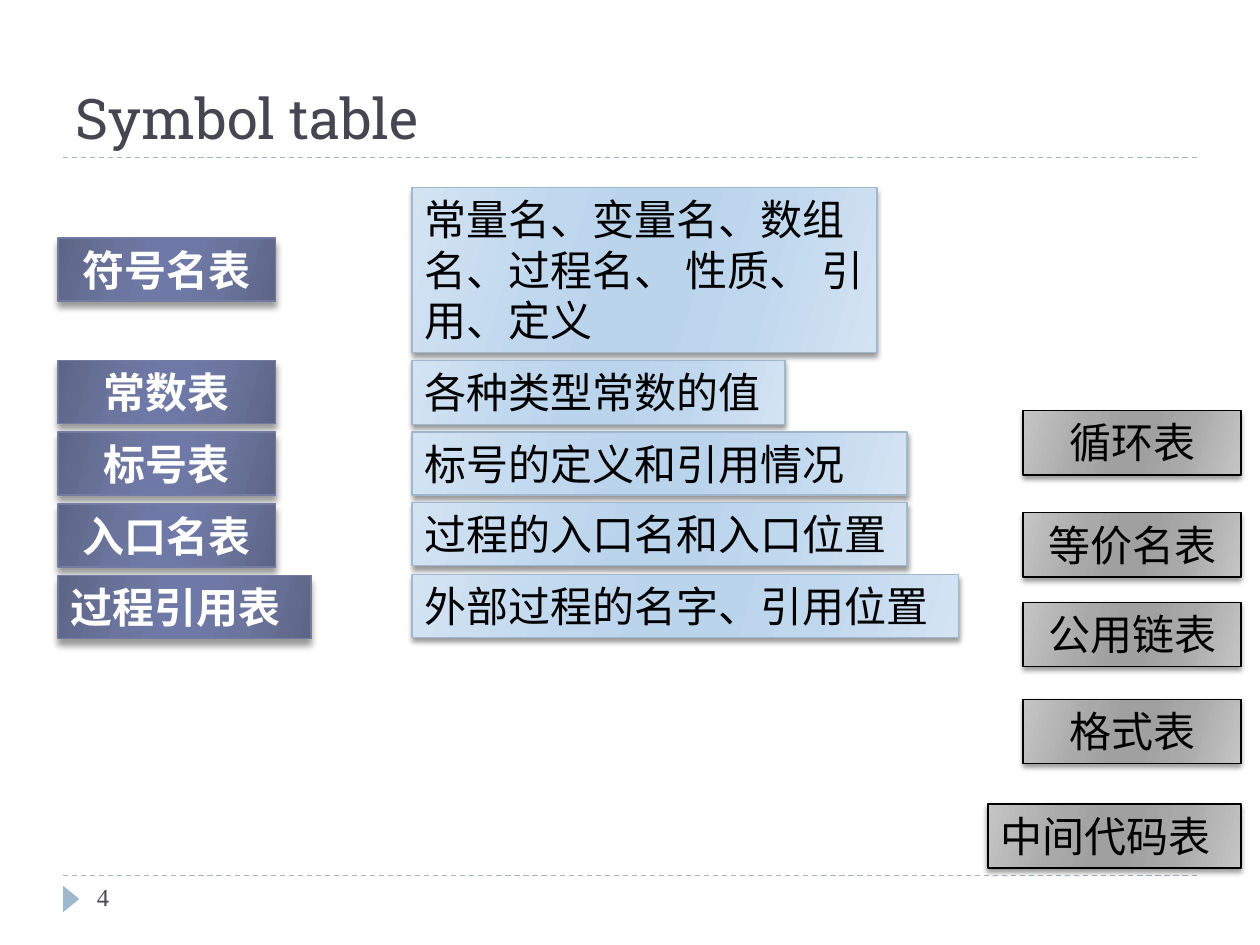
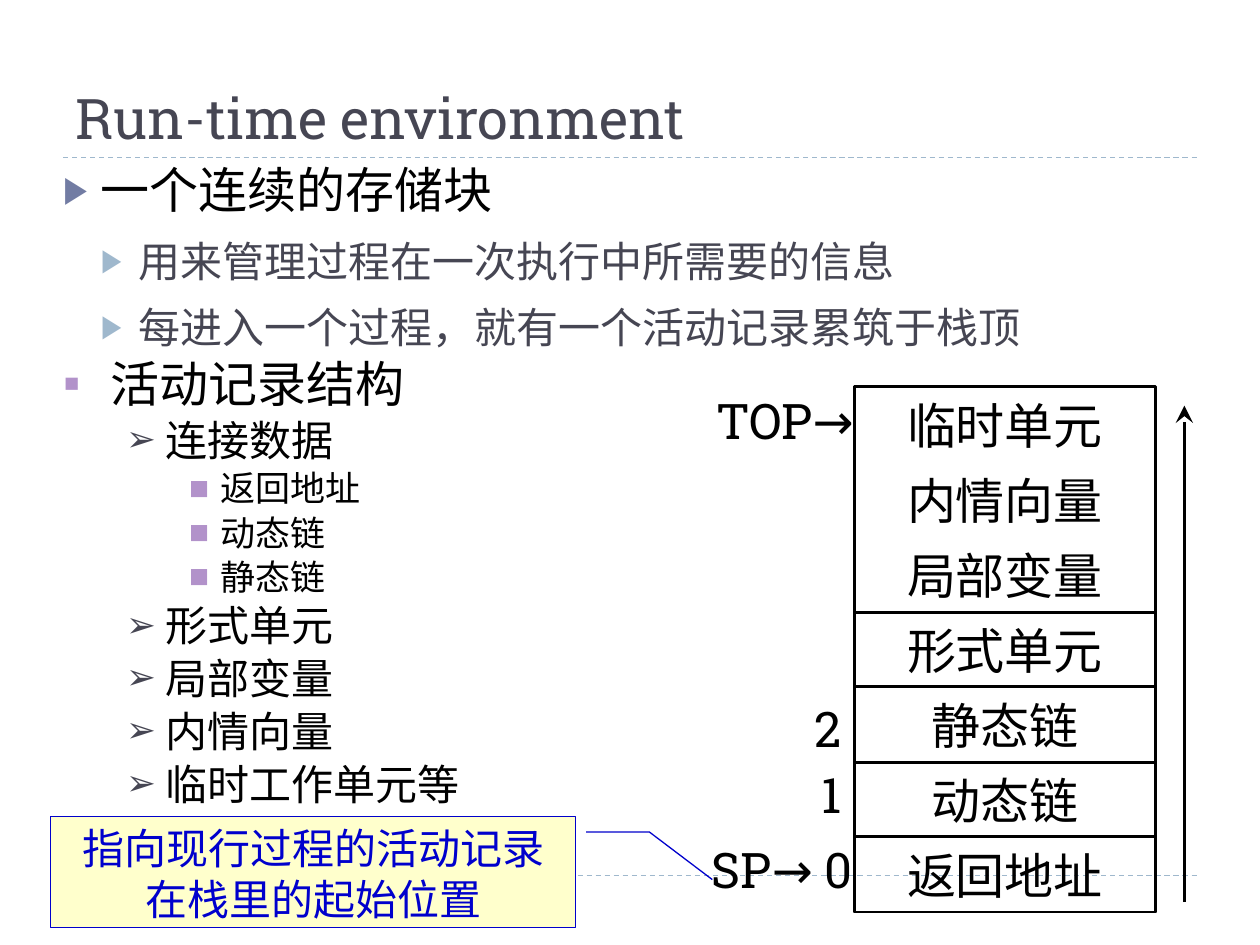
from dataclasses import dataclass

from lxml.etree import SubElement
from pptx import Presentation
from pptx.dml.color import RGBColor
from pptx.enum.dml import MSO_LINE
from pptx.enum.shapes import MSO_CONNECTOR, MSO_SHAPE
from pptx.enum.text import MSO_ANCHOR, MSO_AUTO_SIZE, PP_ALIGN
from pptx.oxml.ns import qn
from pptx.util import Pt

PX = 9144  # one px is a hundredth of an inch


@dataclass(frozen=True)
class Theme:
    heading: str = "464653"
    black: str = "000000"
    white: str = "FFFFFF"
    rule: str = "9FB8CD"
    slate: str = "727CA3"
    violet: str = "B292CA"
    note_fill: str = "FFFFCC"
    note_ink: str = "0000CC"
    slate_shades: tuple = ("5D6585", "6B759E", "6E79A7")
    blue_shades: tuple = ("D3E3F2", "C0D8EE", "BAD4EC")
    grey_shades: tuple = ("C5C5C5", "A9A9A9", "A0A0A0")
    latin: str = "Roboto Slab"
    chinese: str = "Noto Sans CJK SC"
    number: str = "Times New Roman"
    title_size: int = 32
    large: int = 28
    medium: int = 24
    small: int = 20
    number_size: int = 14


theme = Theme()


def write(para, text, size, ink, face=theme.latin, spacing=1.0, bold=False):
    """Add one run and fix the line pitch to 1.2 times the type size."""
    para.line_spacing = Pt(round(1.2 * size * spacing, 1))
    span = para.add_run()
    span.text = text
    span.font.size = Pt(size)
    span.font.bold = bold
    span.font.name = face
    span.font.color.rgb = RGBColor.from_string(ink)
    SubElement(span.font._element, qn("a:ea"), typeface=theme.chinese)


def add_box(page, area, line=None, width=1.5, kind=MSO_SHAPE.RECTANGLE,
            anchor=MSO_ANCHOR.MIDDLE, align=PP_ALIGN.CENTER, wrap=False):
    """Add an unfilled shape, or a text box when no line colour is given."""
    area = [length * PX for length in area]
    if line:
        box = page.shapes.add_shape(kind, *area)
        box.shadow.inherit = False
        box.fill.background()
        box.line.color.rgb = RGBColor.from_string(line)
        box.line.width = Pt(width)
    else:
        box = page.shapes.add_textbox(*area)
    box.text_frame.word_wrap = wrap
    box.text_frame.vertical_anchor = anchor
    box.text_frame.paragraphs[0].alignment = align
    return box


deck = Presentation()
deck.slide_width, deck.slide_height = 1000 * PX, 750 * PX

# Shared title, rules and corner marker
pages = []
for heading, layout in (("Symbol table", 5), ("Run-time environment", 3)):
    page = deck.slides.add_slide(deck.slide_layouts[layout])
    pages.append(page)
    for level in (695, 125):
        rule = page.shapes.add_connector(
            MSO_CONNECTOR.STRAIGHT, 50 * PX, level * PX, 950 * PX, level * PX)
        rule.line.color.rgb = RGBColor.from_string(theme.rule)
        rule.line.width = Pt(0.75)
        rule.line.dash_style = MSO_LINE.DASH
        SubElement(rule._element.spPr, qn("a:effectLst"))
    marker = add_box(page, (46, 707, 21, 13), theme.rule,
                     kind=MSO_SHAPE.ISOSCELES_TRIANGLE)
    marker.rotation = 90
    marker.fill.solid()
    marker.fill.fore_color.rgb = RGBColor.from_string(theme.rule)
    marker.line.fill.background()

    title = page.shapes.title
    title.left, title.top, title.width, title.height = (
        length * PX for length in (50, 17, 900, 108))
    title.text_frame.auto_size = MSO_AUTO_SIZE.NONE
    title.text_frame.vertical_anchor = MSO_ANCHOR.BOTTOM
    para = title.text_frame.paragraphs[0]
    para.alignment = PP_ALIGN.LEFT
    write(para, heading, theme.title_size, theme.heading)

symbol_page, runtime_page = pages

# Symbol table: names, what they hold, and further tables
number = add_box(symbol_page, (67, 695, 217, 40), anchor=MSO_ANCHOR.TOP,
                 align=PP_ALIGN.LEFT)
write(number.text_frame.paragraphs[0], "4", theme.number_size, theme.heading,
      theme.number)

centre, left = PP_ALIGN.CENTER, PP_ALIGN.LEFT
table_names = [
    ((46, 189, 173, 50), "符号名表", centre),
    ((46, 286, 173, 50), "常数表", centre),
    ((46, 343, 173, 50), "标号表", centre),
    ((46, 400, 173, 50), "入口名表", centre),
    ((46, 457, 201, 50), "过程引用表", left),
]
contents = [
    ((327, 149, 369, 131), "常量名、变量名、数组名、过程名、 性质、 引用、定义", left),
    ((327, 286, 296, 51), "各种类型常数的值", left),
    ((327, 343, 393, 50), "标号的定义和引用情况", left),
    ((327, 399, 393, 50), "过程的入口名和入口位置", left),
    ((327, 456, 434, 50), "外部过程的名字、引用位置", left),
]
other_tables = [
    ((812, 326, 173, 51), "循环表", centre),
    ((812, 407, 173, 51), "等价名表", centre),
    ((812, 478, 173, 51), "公用链表", centre),
    ((812, 555, 173, 51), "格式表", centre),
    ((784, 638, 201, 51), "中间代码表", left),
]
# entries, gradient shades, line, ink, bold, shadow blur and distance in points
card_groups = [
    (table_names, theme.slate_shades, theme.slate, theme.white, True, 4, 3.4),
    (contents, theme.blue_shades, theme.rule, theme.black, False, 3, 2),
    (other_tables, theme.grey_shades, theme.black, theme.black, False, 3, 2),
]
for entries, (edge, middle, core), line, ink, bold, blur, distance in card_groups:
    for area, text, align in entries:
        card = add_box(symbol_page, area, line, 0.75, anchor=MSO_ANCHOR.TOP,
                       align=align, wrap=True)
        card.fill.gradient()
        card.fill.gradient_angle = 344
        stops = card._element.spPr.find(".//" + qn("a:gsLst"))
        for stop in list(stops):
            stops.remove(stop)
        for percent, shade in zip((0, 30, 45, 55, 73, 100),
                                  (edge, middle, core, core, middle, edge)):
            stop = SubElement(stops, qn("a:gs"), pos=str(percent * 1000))
            SubElement(stop, qn("a:srgbClr"), val=shade)
        effects = card._element.spPr.find(qn("a:effectLst"))
        shadow = SubElement(effects, qn("a:outerShdw"), blurRad=str(Pt(blur)),
                            dist=str(Pt(distance)), dir="5400000",
                            rotWithShape="0")
        shade = SubElement(shadow, qn("a:srgbClr"), val=theme.black)
        SubElement(shade, qn("a:alpha"), val="40000")
        write(card.text_frame.paragraphs[0], text, theme.medium, ink,
              theme.chinese, bold=bold)

# Run-time environment: two bulleted lists
# level: indent, hanging, bullet, bullet colour, bullet %, size, ink, space before
block_levels = [
    (30, 30, "▶", theme.slate, 76, theme.large, theme.black, 0),
    (60, 30, "▶", theme.rule, 76, theme.medium, theme.heading, 5),
]
record_levels = [
    (38, 38, "▪", theme.violet, 100, theme.large, theme.black, 0),
    (81, 31, "➢", theme.heading, 85, theme.medium, theme.black, 0),
    (125, 25, "■", theme.violet, 95, theme.small, theme.black, 0),
]
block_items = [
    (0, "一个连续的存储块"),
    (1, "用来管理过程在一次执行中所需要的信息"),
    (1, "每进入一个过程，就有一个活动记录累筑于栈顶"),
]
record_items = [
    (0, "活动记录结构"),
    (1, "连接数据"),
    (2, "返回地址"),
    (2, "动态链"),
    (2, "静态链"),
    (1, "形式单元"),
    (1, "局部变量"),
    (1, "内情向量"),
    (1, "临时工作单元等"),
]
lists = [
    (1, (40, 115, 808, 167), block_levels, block_items, 1.15),
    (2, (40, 273, 350, 375), record_levels, record_items, 1.05),
]
for index, area, levels, items, spacing in lists:
    body = runtime_page.placeholders[index]
    body.left, body.top, body.width, body.height = (
        length * PX for length in area)
    frame = body.text_frame
    frame.auto_size = MSO_AUTO_SIZE.NONE
    for position, (level, text) in enumerate(items):
        para = frame.add_paragraph() if position else frame.paragraphs[0]
        indent, hanging, bullet, colour, percent, size, ink, before = levels[level]
        para.level = level
        para.space_before = Pt(before)
        write(para, text, size, ink, spacing=spacing)
        properties = para._p.get_or_add_pPr()
        properties.set("marL", str(indent * PX))
        properties.set("indent", str(-hanging * PX))
        bullet_colour = SubElement(properties, qn("a:buClr"))
        SubElement(bullet_colour, qn("a:srgbClr"), val=colour)
        SubElement(properties, qn("a:buSzPct"), val=str(percent * 1000))
        SubElement(properties, qn("a:buChar"), char=bullet)

# Activation record, drawn as a stack of equal rows
stack_left, stack_top, stack_width, stack_height = 678, 307, 239, 417
stack_rows = ["临时单元", "内情向量", "局部变量", "形式单元", "静态链", "动态链",
              "返回地址"]
unruled_rows = 3
add_box(runtime_page, (stack_left, stack_top, stack_width, stack_height),
        theme.black)
edges = [stack_top + round(stack_height * row / len(stack_rows))
         for row in range(len(stack_rows) + 1)]
for row, text in enumerate(stack_rows):
    cell = add_box(
        runtime_page,
        (stack_left, edges[row], stack_width, edges[row + 1] - edges[row]),
        theme.black if row >= unruled_rows else None)
    write(cell.text_frame.paragraphs[0], text, theme.large, theme.black)

for area, text, align in (
    ((548, 307, 160, 52), "TOP→ ", centre),
    ((615, 552, 63, 52), "2", PP_ALIGN.RIGHT),
    ((615, 604, 63, 52), "1", PP_ALIGN.RIGHT),
    ((541, 664, 160, 52), "SP→ 0", centre),
):
    pointer = add_box(runtime_page, area, align=align)
    write(pointer.text_frame.paragraphs[0], text, theme.large, theme.black)

growth = runtime_page.shapes.add_connector(
    MSO_CONNECTOR.STRAIGHT, 940 * PX, 716 * PX, 940 * PX, 322 * PX)
growth.line.color.rgb = RGBColor.from_string(theme.black)
growth.line.width = Pt(1.5)
SubElement(growth.line._get_or_add_ln(), qn("a:tailEnd"), type="stealth",
           w="lg", len="lg")
SubElement(growth._element.spPr, qn("a:effectLst"))

callout = add_box(runtime_page, (40, 648, 417, 88), theme.note_ink, 0.75,
                  MSO_SHAPE.LINE_CALLOUT_2, MSO_ANCHOR.TOP, wrap=True)
for index, value in enumerate((0.14, 1.02, 0.14, 1.14, 0.57, 1.26)):
    callout.adjustments[index] = value
callout.fill.solid()
callout.fill.fore_color.rgb = RGBColor.from_string(theme.note_fill)
write(callout.text_frame.paragraphs[0], "指向现行过程的活动记录在栈里的起始位置",
      theme.medium, theme.note_ink)

deck.save("out.pptx")
